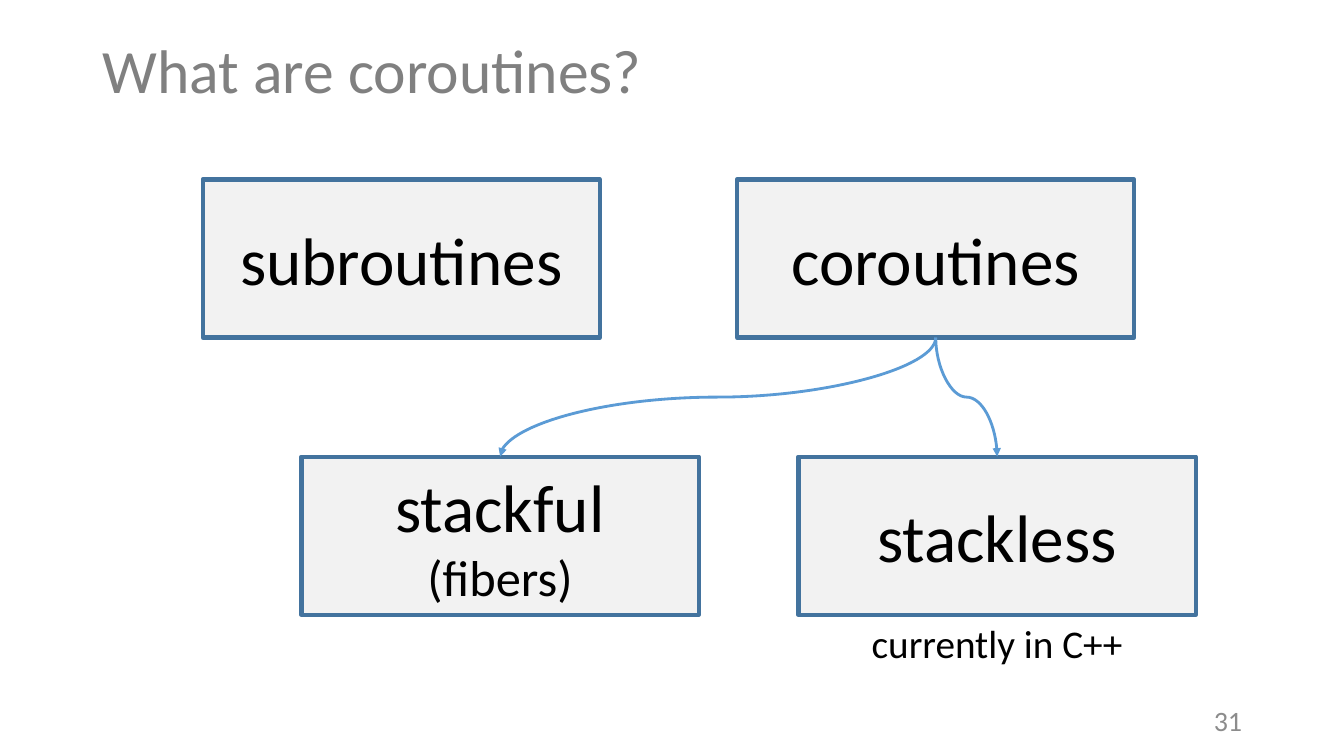
from pptx import Presentation, util as u
from pptx.dml import color
from pptx.enum import shapes, text
from pptx.oxml import ns, parse_xml


def rgb(value):
    return color.RGBColor.from_string(value)


class Deck:
    FONT = "Calibri"
    INK, GREY, PALE_GREY = "000000", "808080", "8C8C8C"
    FILL, EDGE, ARROW = "F2F2F2", "43739E", "5B9BD5"
    LEFT, CENTER, RIGHT = (text.PP_ALIGN.LEFT, text.PP_ALIGN.CENTER,
                           text.PP_ALIGN.RIGHT)

    def __init__(self, width, height):
        self.prs = Presentation()
        self.prs.slide_width = u.Inches(width)
        self.prs.slide_height = u.Inches(height)
        self.slide = self.prs.slides.add_slide(self.prs.slide_layouts[5])

    def place(self, x, y, w, h):
        sw, sh = self.prs.slide_width, self.prs.slide_height
        return [round(share * size / 100)
                for share, size in ((x, sw), (y, sh), (w, sw), (h, sh))]

    def add_lines(self, sp, lines, ink, align, anchor=text.MSO_ANCHOR.MIDDLE):
        tf = sp.text_frame
        tf.word_wrap = True
        tf.auto_size = text.MSO_AUTO_SIZE.NONE
        tf.vertical_anchor = anchor
        for i, (words, size) in enumerate(lines):
            p = tf.add_paragraph() if i else tf.paragraphs[0]
            p.alignment = align
            r = p.add_run()
            r.text = words
            r.font.name = self.FONT
            r.font.size = u.Pt(size)
            r.font.color.rgb = rgb(ink)

    def title(self, area, words):
        sp = self.slide.shapes.title
        sp.left, sp.top, sp.width, sp.height = self.place(*area)
        self.add_lines(sp, [(words, 44)], self.GREY, self.LEFT)
        sp.text_frame.paragraphs[0].line_spacing = 0.9

    def label(self, area, words, size, ink, align, anchor):
        sp = self.slide.shapes.add_textbox(*self.place(*area))
        self.add_lines(sp, [(words, size)], ink, align, anchor)

    def box(self, area, *lines):
        sp = self.slide.shapes.add_shape(
            shapes.MSO_SHAPE.RECTANGLE, *self.place(*area))
        sp.shadow.inherit = False
        sp.fill.solid()
        sp.fill.fore_color.rgb = rgb(self.FILL)
        sp.line.color.rgb = rgb(self.EDGE)
        sp.line.width = u.Pt(3)
        self.add_lines(sp, lines, self.INK, self.CENTER)
        return sp

    def arrow_down(self, parent, child):
        cxn = self.slide.shapes.add_connector(
            shapes.MSO_CONNECTOR.CURVE, 0, 0, 0, 0)
        cxn.begin_connect(parent, 2)
        cxn.end_connect(child, 0)
        start_x, end_x = (sp.left + sp.width // 2 for sp in (parent, child))
        start_y, end_y = parent.top + parent.height, child.top
        cxn.width, cxn.height = end_y - start_y, abs(end_x - start_x)
        cxn.left = (start_x + end_x - cxn.width) // 2
        cxn.top = (start_y + end_y - cxn.height) // 2
        rightward = end_x > start_x
        sp_pr = cxn._element.spPr
        xfrm = sp_pr.find(ns.qn("a:xfrm"))
        xfrm.set("rot", str((270 if rightward else 90) * 60000))
        xfrm.set("flipH", str(int(rightward)))
        xfrm.set("flipV", "0")
        cxn.line.color.rgb = rgb(self.ARROW)
        cxn.line.width = u.Pt(2)
        sp_pr.find(ns.qn("a:ln")).append(
            parse_xml(f'<a:tailEnd {ns.nsdecls("a")} type="triangle"/>'))
        sp_pr.append(parse_xml(f'<a:effectLst {ns.nsdecls("a")}/>'))


def main():
    deck = Deck(13.33, 7.5)
    box_w, box_h = 29.56, 20.93
    upper, lower = 23.73, 60.4
    stackless_x = 59.41

    deck.title((6.9, 0, 86.27, 19.33), "What are coroutines?")
    deck.label((70.67, 92.67, 22.5, 5.33), "31", 20, deck.PALE_GREY,
               deck.RIGHT, text.MSO_ANCHOR.MIDDLE)
    deck.box((15.08, upper, box_w, box_h), ("subroutines", 48))
    stackless = deck.box((stackless_x, lower, box_w, box_h), ("stackless", 48))
    stackful = deck.box((22.43, lower, box_w, box_h),
                        ("stackful", 48), ("(fibers)", 36))
    coroutines = deck.box((54.84, upper, box_w, box_h), ("coroutines", 48))
    for kind in (stackful, stackless):
        deck.arrow_down(coroutines, kind)
    deck.label((stackless_x, lower + box_h, box_w, 7.6), "currently in C++",
               28, deck.INK, deck.CENTER, text.MSO_ANCHOR.TOP)
    deck.prs.save("out.pptx")


if __name__ == "__main__":
    main()
